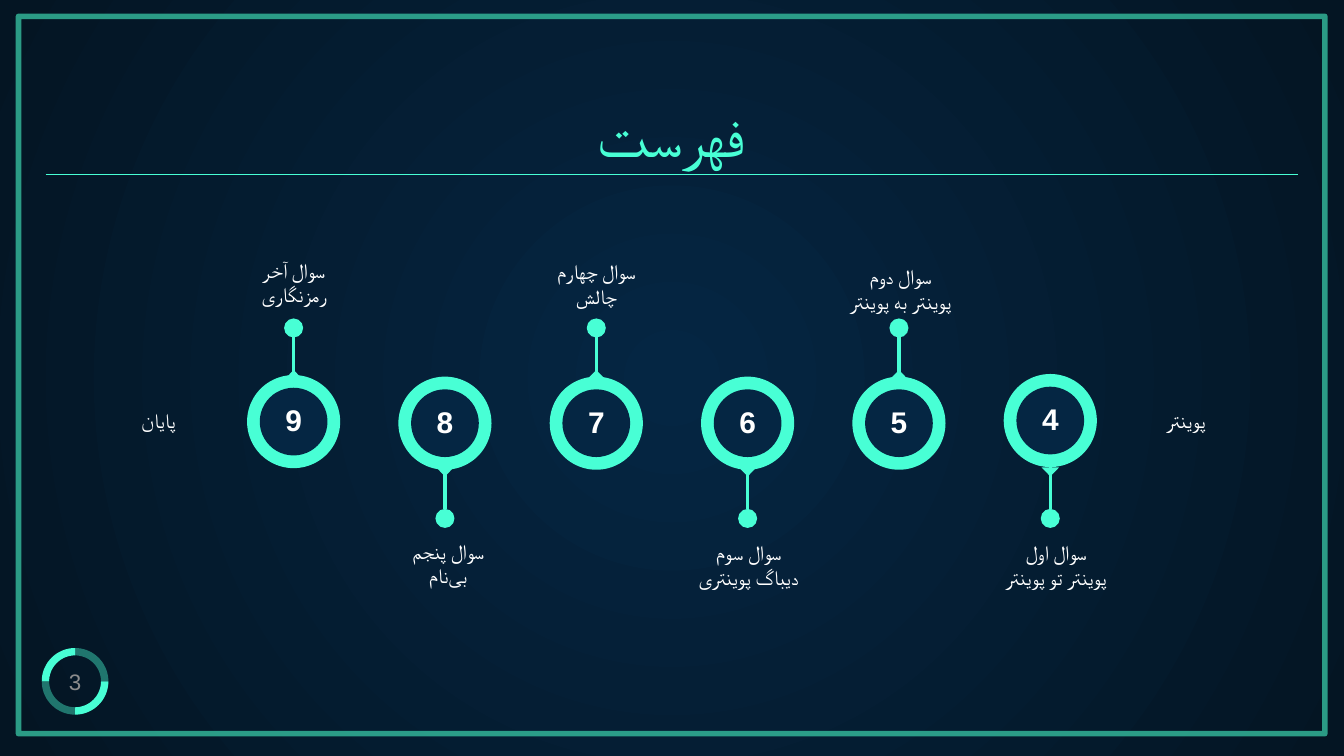
import math
from dataclasses import dataclass

import pptx
import pptx.dml.color
import pptx.enum.shapes
import pptx.enum.text
import pptx.oxml
import pptx.oxml.ns
import pptx.util

Cm = pptx.util.Cm
Shape = pptx.enum.shapes.MSO_SHAPE
Anchor = pptx.enum.text.MSO_ANCHOR
Align = pptx.enum.text.PP_ALIGN
qn = pptx.oxml.ns.qn
NON_JOINER = chr(0x200C)  # keeps Persian prefixes unjoined


@dataclass(frozen=True)
class TextStyle:
    font: str
    size: int
    color: str
    bold: bool = False


@dataclass(frozen=True)
class Theme:
    mint: str = "48FFD5"
    frame: str = "35BD9E"
    navy: str = "052643"
    night: str = "041523"
    title: TextStyle = TextStyle("Roboto", 32, "48FFD5")
    label: TextStyle = TextStyle("Calibri", 11, "FFFFFF")
    number: TextStyle = TextStyle("Arial", 16, "FFFFFF", True)
    page_number: TextStyle = TextStyle("Arial", 12, "8C8C8C")


@dataclass(frozen=True)
class Milestone:
    number: str
    lines: tuple
    side: int  # -1 label above, 1 label below
    ring_y: float
    label_x: float
    label_top: float
    label_width: float


MILESTONES = (
    Milestone("4", ("سوال اول", "پوینتر تو پوینتر"), 1, 7.95, 19.96, 9.96, 3.56),
    Milestone("5", ("سوال دوم", "پوینتر به پوینتر"), -1, 8, 17.02, 4.75, 6.4),
    Milestone("6", ("سوال سوم", "دیباگ پوینتری"), 1, 8, 14.15, 9.96, 5.44),
    Milestone("7", ("سوال چهارم", "چالش"), -1, 8, 11.27, 4.65, 4.65),
    Milestone("8", ("سوال پنجم", NON_JOINER.join(("بی", "نام"))), 1, 8, 8.47, 9.93, 4.65),
    Milestone("9", ("سوال آخر", "رمزنگاری"), -1, 7.97, 5.55, 4.62, 4.65),
)
FIRST_X, STEP, ROW_Y = 19.85, 2.86, 8


def rgb(color):
    return pptx.dml.color.RGBColor.from_string(color)


def fade(shape, percent):
    """Make the only colour of the shape partly opaque."""
    color = next(shape.element.spPr.iter(qn("a:srgbClr")))
    color.append(pptx.oxml.parse_xml(
        f'<a:alpha {pptx.oxml.ns.nsdecls("a")} val="{percent * 1000}"/>'))


class Painter:
    def __init__(self, page, theme):
        self.page, self.theme = page, theme

    def background(self):
        fill = self.page.background.fill
        fill.gradient()
        for stop, color in zip(fill.gradient_stops, (self.theme.navy, self.theme.night)):
            stop.color.rgb = rgb(color)
        linear = next(self.page.element.iter(qn("a:lin")))
        linear.getparent().replace(linear, pptx.oxml.parse_xml(
            f'<a:path {pptx.oxml.ns.nsdecls("a")} path="circle">'
            '<a:fillToRect l="50000" t="50000" r="50000" b="50000"/></a:path>'))

    def paint(self, shape, color):
        shape.shadow.inherit = False
        shape.fill.solid()
        shape.fill.fore_color.rgb = rgb(color)
        shape.line.fill.background()
        return shape

    def centred(self, kind, x, y, width, height, color):
        """Add a filled preset shape around a centre point."""
        shape = self.page.shapes.add_shape(
            kind, Cm(x - width / 2), Cm(y - height / 2), Cm(width), Cm(height))
        return self.paint(shape, color)

    def circle(self, x, y, diameter, color):
        return self.centred(Shape.OVAL, x, y, diameter, diameter, color)

    def frame(self, left, top, width, height):
        shape = self.page.shapes.add_shape(
            Shape.RECTANGLE, Cm(left), Cm(top), Cm(width), Cm(height))
        shape.shadow.inherit = False
        shape.fill.background()
        shape.line.color.rgb = rgb(self.theme.frame)
        shape.line.width = pptx.util.Pt(3)
        fade(shape, 80)
        line = next(shape.element.spPr.iter(qn("a:ln")))
        line.append(pptx.oxml.parse_xml(f'<a:round {pptx.oxml.ns.nsdecls("a")}/>'))

    def line(self, x1, y1, x2, y2, width):
        line = self.page.shapes.add_connector(
            pptx.enum.shapes.MSO_CONNECTOR.STRAIGHT, Cm(x1), Cm(y1), Cm(x2), Cm(y2))
        line.line.color.rgb = rgb(self.theme.mint)
        line.line.width = pptx.util.Pt(width)
        line.element.spPr.append(
            pptx.oxml.parse_xml(f'<a:effectLst {pptx.oxml.ns.nsdecls("a")}/>'))

    def ring_quarter(self, x, y, outer, inner, start):
        """Add a quarter of a ring, clockwise from the start angle in degrees."""
        angles = [math.radians(start + 5 * step) for step in range(19)]
        arcs = [(outer, a) for a in angles] + [(inner, a) for a in reversed(angles)]
        points = [(Cm(x + r * math.cos(a)), Cm(y + r * math.sin(a))) for r, a in arcs]
        builder = self.page.shapes.build_freeform(*points[0])
        builder.add_line_segments(points[1:])
        return self.paint(builder.convert_to_shape(), self.theme.mint)

    def text(self, left, top, width, height, lines, style, anchor=Anchor.TOP,
             align=Align.CENTER, rtl=False, inset=0.25):
        box = self.page.shapes.add_textbox(Cm(left), Cm(top), Cm(width), Cm(height))
        frame = box.text_frame
        frame.word_wrap = True
        frame.vertical_anchor = anchor
        frame.margin_left = frame.margin_right = Cm(0.25)
        frame.margin_top = frame.margin_bottom = Cm(inset)
        for index, line in enumerate(lines):
            para = frame.add_paragraph() if index else frame.paragraphs[0]
            para.alignment = align
            if rtl:
                para._p.get_or_add_pPr().set("rtl", "1")
            span = para.add_run()
            span.text = line
            span.font.name = style.font
            span.font.size = pptx.util.Pt(style.size)
            span.font.bold = style.bold
            span.font.color.rgb = rgb(style.color)
            script = pptx.oxml.parse_xml(
                f'<a:cs {pptx.oxml.ns.nsdecls("a")} typeface="{style.font}"/>')
            span.font._element.append(script)

    def milestone(self, x, item):
        theme, side = self.theme, item.side
        self.circle(x, item.ring_y, 1.76, theme.mint)
        pointer = self.centred(Shape.ISOSCELES_TRIANGLE, x, ROW_Y + side * 0.92,
                               0.33, 0.17, theme.mint)
        pointer.rotation = 180 if side > 0 else 0
        self.circle(x, ROW_Y + side * 1.8, 0.36, theme.mint)
        self.line(x, ROW_Y + side * 0.8, x, ROW_Y + side * 1.63, 1.95)
        self.circle(x, item.ring_y, 1.28, theme.navy)
        self.text(x - 0.57, item.ring_y - 0.51, 1.14, 0.94, [item.number],
                  theme.number, Anchor.MIDDLE, inset=0.13)
        self.text(item.label_x - item.label_width / 2, item.label_top,
                  item.label_width, 1.14, item.lines, theme.label, rtl=True)


def main():
    deck = pptx.Presentation()
    deck.slide_width, deck.slide_height = Cm(25.4), Cm(14.29)
    theme = Theme()
    painter = Painter(deck.slides.add_slide(deck.slide_layouts[6]), theme)

    painter.background()
    for start in (90, 180, 270, 0):
        quarter = painter.ring_quarter(1.42, 12.88, 0.63, 0.49, start)
        if start in (90, 270):
            fade(quarter, 41)
    painter.frame(0.35, 0.31, 24.69, 13.56)
    painter.text(0.79, 12.25, 1.26, 1.26, ["3"], theme.page_number,
                 Anchor.MIDDLE, inset=0.13)
    painter.text(0.86, 1.78, 23.67, 1.68, ["فهرست"], theme.title, Anchor.BOTTOM)
    painter.line(0.86, 3.3, 24.54, 3.3, 0.75)

    for index, item in enumerate(MILESTONES):
        painter.milestone(FIRST_X - index * STEP, item)
    painter.text(21.79, 7.47, 1.42, 1.19, ["پوینتر"], theme.label,
                 align=None, rtl=True)
    painter.text(2.18, 7.47, 1.63, 0.84, ["پایان"], theme.label, rtl=True)
    deck.save("out.pptx")


if __name__ == "__main__":
    main()
